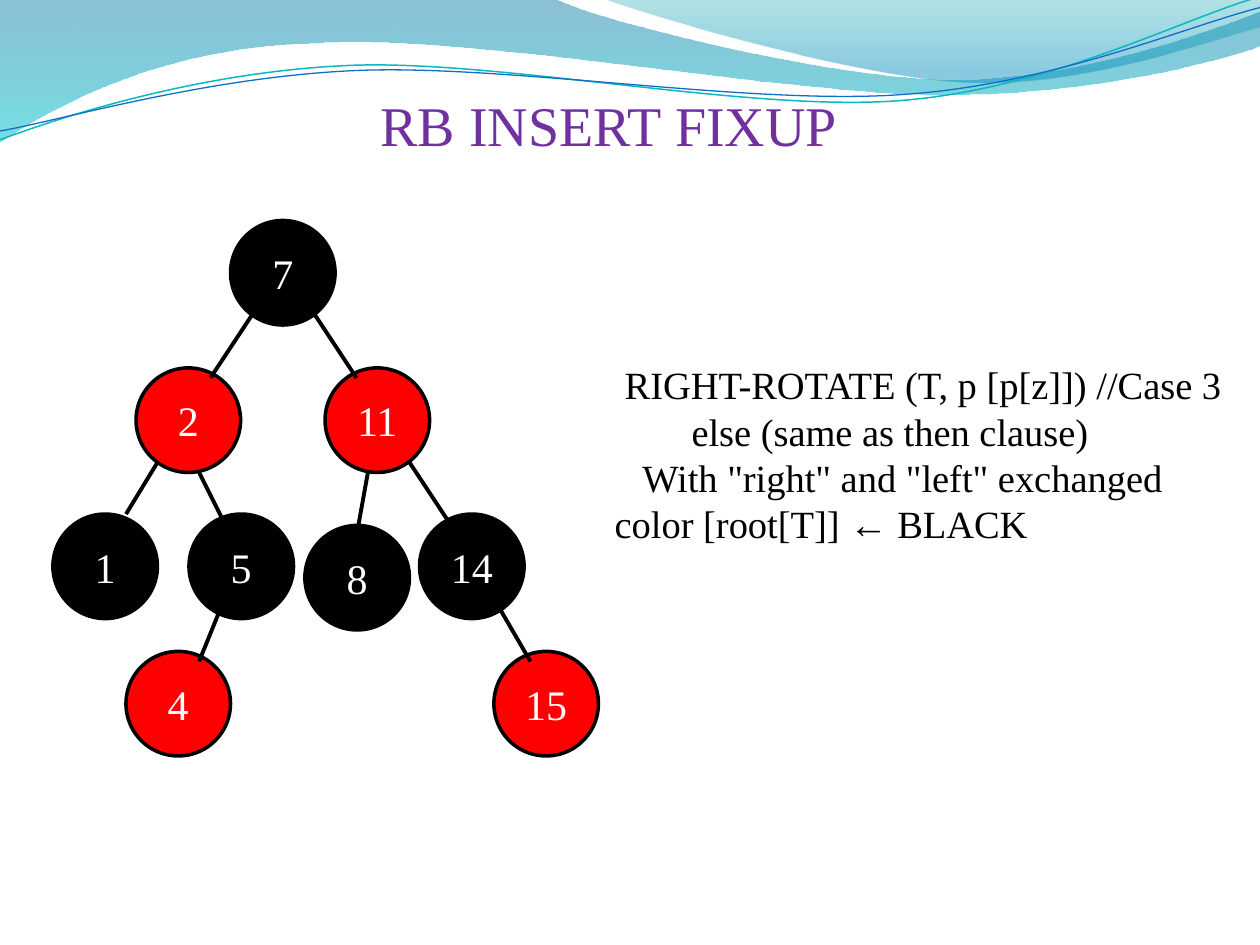
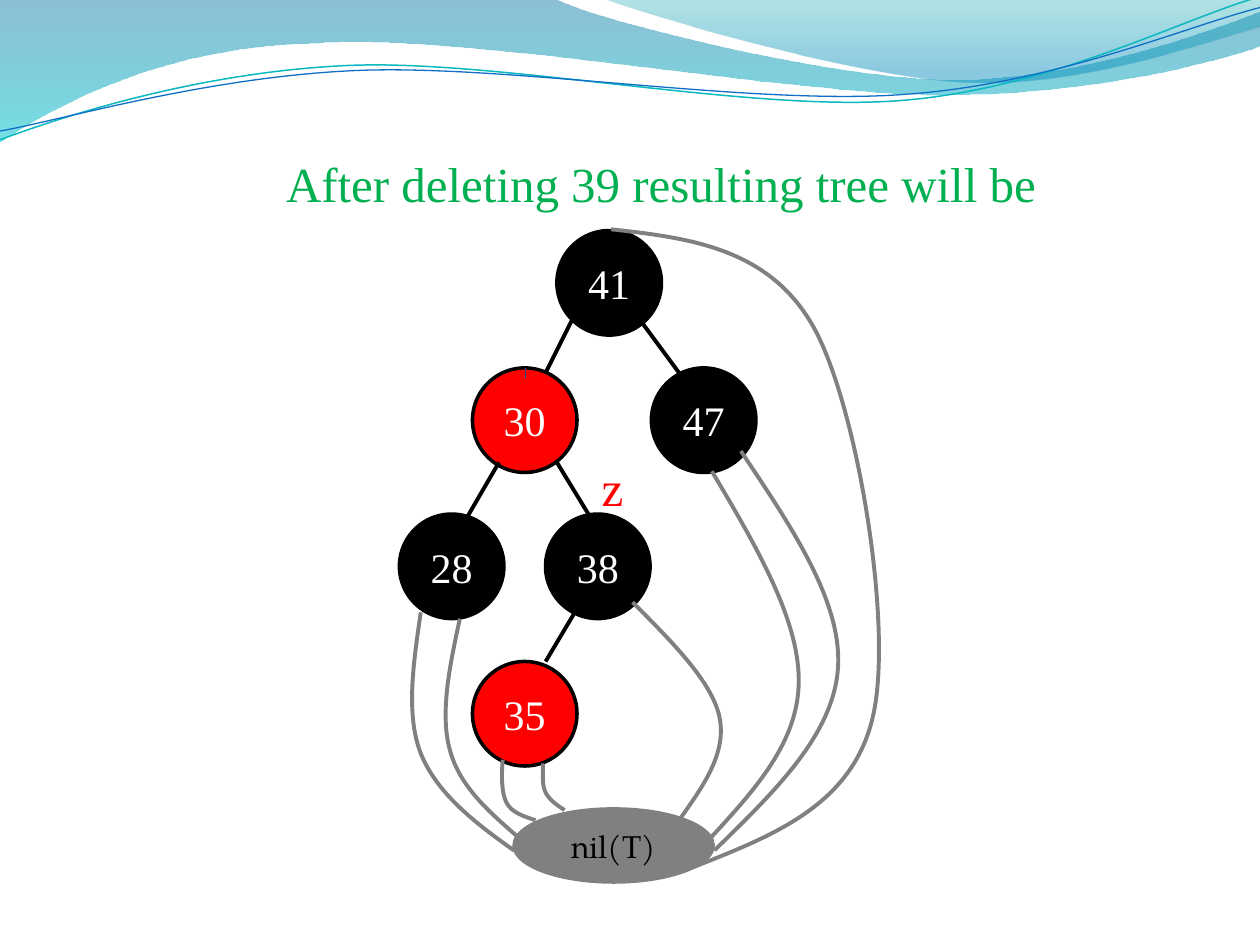
from pptx import Presentation
from pptx.dml.color import RGBColor
from pptx.enum.shapes import MSO_CONNECTOR as Link, MSO_SHAPE as Shape
from pptx.enum.text import MSO_ANCHOR as Anchor, MSO_AUTO_SIZE as Auto, PP_ALIGN as Align
from pptx.oxml.ns import qn
from pptx.oxml.xmlchemy import OxmlElement as Element
from pptx.util import Inches, Pt

SERIF = "Times New Roman"
BLACK, WHITE, RED, GREY = "000000", "FFFFFF", "FF0000", "808080"
PURPLE, GREEN, BLUE = "7030A0", "00B050", "095295"
SIZE = 0.83

# Each outline is a start point, then segments: 2 numbers a line, 6 a curve.
# Bands add gradient stops: position, colour and opacity in percent.
BANDS = [
    ((0, 0), [(4.4, -0.01), (4.76, 0.17, 6.64, 0.63, 7.58, 0.63),
              (8.53, 0.63, 9.58, 0.26, 10, 0.09), (10.01, 0.36),
              (9.83, 0.44, 8.7, 0.76, 7.46, 0.75),
              (6.22, 0.75, 3.82, 0.28, 2.57, 0.34),
              (1.29, 0.36, 0.46, 0.83, -0.01, 1.13)],
     [(0, "0074A1", 45), (1, "00C6CF", 55)]),
    ((4.79, -0.01), [(5.09, 0.11, 6.82, 0.62, 7.69, 0.65),
                     (8.56, 0.69, 9.61, 0.32, 10, 0.21), (10, 0)],
     [(0, "00A1A9", 30), (0.8, "008BBF", 45)]),
]
WAVES = [
    ((0, 1.11), [(0.48, 0.93, 1.58, 0.57, 2.77, 0.52),
                 (3.95, 0.47, 5.93, 0.89, 7.13, 0.8),
                 (8.33, 0.71, 9.38, 0.15, 9.98, -0.02)], "0AB8BF", 0.85),
    ((0, 1.04), [(0.47, 0.96, 1.64, 0.61, 2.83, 0.56),
                 (4.03, 0.51, 5.97, 0.84, 7.17, 0.75),
                 (8.36, 0.67, 9.41, 0.21, 10, 0.06)], "0F6FC6", 0.75),
]

# Nodes: key, left, top, fill.  Edges: x1, y1, x2, y2.
FIXUP_NODES = [
    ("7", 1.83, 1.75, BLACK), ("2", 1.08, 2.92, RED), ("11", 2.58, 2.92, RED),
    ("1", 0.42, 4.08, BLACK), ("5", 1.5, 4.08, BLACK), ("8", 2.42, 4.17, BLACK),
    ("14", 3.33, 4.08, BLACK), ("4", 1, 5.17, RED), ("15", 3.92, 5.17, RED),
]
FIXUP_EDGES = [
    (2.5, 2.5, 2.83, 3), (2, 2.5, 1.67, 3), (3.25, 3.67, 3.58, 4.17),
    (1.25, 3.67, 1, 4.08), (3.92, 4.75, 4.21, 5.25), (2.92, 3.75, 2.83, 4.25),
    (1.75, 4.83, 1.58, 5.25), (1.58, 3.75, 1.83, 4.25),
]
FIXUP_CODE = [  # text, indent
    ("RIGHT-ROTATE (T, p [p[z]]) //Case 3", 0.08),
    ("else (same as then clause)", 0.61),
    ('With "right" and "left" exchanged', 0.22),
    ("color [root[T]] ← BLACK", 0),
]
DELETE_NODES = [
    ("41", 4.42, 1.83, BLACK), ("30", 3.75, 2.92, RED), ("47", 5.17, 2.92, BLACK),
    ("28", 3.17, 4.08, BLACK), ("38", 4.33, 4.08, BLACK), ("35", 3.75, 5.25, RED),
]
DELETE_EDGES = [
    (5.08, 2.54, 5.42, 3), (4.54, 2.54, 4.33, 2.96), (4.42, 3.67, 4.67, 4.08),
    (3.96, 3.67, 3.67, 4.17), (4.58, 4.83, 4.33, 5.25),
]
NIL_LINKS = [
    ((4.31, 6.06), [(4.31, 6.15, 4.3, 6.23, 4.33, 6.29),
                    (4.36, 6.35, 4.42, 6.39, 4.48, 6.43)]),
    ((3.99, 6.03), [(3.98, 6.16, 3.98, 6.29, 4.02, 6.37),
                    (4.06, 6.45, 4.16, 6.48, 4.25, 6.51)]),
    ((3.65, 4.91), [(3.57, 5.28, 3.49, 5.66, 3.57, 5.95),
                    (3.65, 6.25, 3.89, 6.45, 4.13, 6.66)]),
    ((3.34, 4.86), [(3.28, 5.27, 3.22, 5.67, 3.34, 5.98),
                    (3.47, 6.3, 3.77, 6.53, 4.08, 6.75)]),
    ((5.65, 3.74), [(6, 4.33, 6.34, 4.91, 6.34, 5.4),
                    (6.34, 5.89, 5.99, 6.27, 5.63, 6.66)]),
    ((5.88, 3.58), [(6.28, 4.18, 6.69, 4.78, 6.65, 5.31),
                    (6.61, 5.84, 6.14, 6.29, 5.67, 6.75)]),
    ((4.85, 1.82), [(5.48, 1.89, 6.12, 1.97, 6.47, 2.62),
                    (6.81, 3.26, 7.09, 4.97, 6.93, 5.68),
                    (6.77, 6.39, 6.14, 6.63, 5.51, 6.88)]),
    ((5.02, 4.78), [(5.33, 5.09, 5.65, 5.41, 5.71, 5.69),
                    (5.77, 5.98, 5.58, 6.24, 5.39, 6.51)]),
]


def color(text):
    return RGBColor.from_string(text)


def stroke(item, tint, width):
    item.line.color.rgb = color(tint)
    item.line.width = Pt(width)


def write(part, text, size, tint, name=SERIF, align=Align.LEFT):
    """Put one formatted run into a paragraph."""
    part.alignment = align
    run = part.add_run()
    run.text = text
    for key, value in {"size": Pt(size), "name": name, "bold": False}.items():
        setattr(run.font, key, value)
    run.font.color.rgb = color(tint)


def outline(slide, start, parts, close=False):
    """Draw a freeform whose six-number segments become Bezier curves."""
    points = [seg[i:i + 2] for seg in parts for i in range(0, len(seg), 2)]
    draft = slide.shapes.build_freeform(*map(Inches, start))
    draft.add_line_segments([tuple(map(Inches, p)) for p in points], close=close)
    shape = draft.convert_to_shape()
    shape.shadow.inherit = False
    steps = iter(list(shape.element.iter(qn("a:lnTo"))))
    for seg in parts:
        curve = next(steps)
        if len(seg) == 6:
            curve.tag = qn("a:cubicBezTo")
            for step in (next(steps), next(steps)):
                curve.append(step[0])
                step.getparent().remove(step)
    return shape


def curve(slide, start, parts, tint, width):
    shape = outline(slide, start, parts)
    shape.fill.background()
    stroke(shape, tint, width)
    return shape


def band(slide, start, parts, stops):
    shape = outline(slide, start, parts, close=True)
    shape.line.fill.background()
    shape.fill.gradient()
    shape.fill.gradient_angle = 270
    for stop, (place, tint, _) in zip(shape.fill.gradient_stops, stops):
        stop.position = place
        stop.color.rgb = color(tint)
    for node, (_, _, part) in zip(shape.element.iter(qn("a:srgbClr")), stops):
        alpha = Element("a:alpha")
        alpha.set("val", str(part * 1000))
        node.append(alpha)
    return shape


def dress(slide, layout):
    """Draw the waves and move them to the layout, behind its text."""
    art = [band(slide, *data) for data in BANDS]
    art += [curve(slide, *data) for data in WAVES]
    for i, shape in enumerate(art):
        shape.element.nvSpPr.cNvPr.set("id", str(20 + i))
        layout.shapes.element.insert(2 + i, shape.element)


def title(slide, text, box, size, tint):
    head = slide.shapes.title
    head.left, head.top, head.width, head.height = map(Inches, box)
    frame = head.text_frame
    frame.auto_size = Auto.NONE
    frame.vertical_anchor = Anchor.TOP
    write(frame.paragraphs[0], text, size, tint)


def oval(slide, text, box, fill, edge, size, tint, name=SERIF):
    shape = slide.shapes.add_shape(Shape.OVAL, *map(Inches, box))
    shape.shadow.inherit = False
    shape.fill.solid()
    shape.fill.fore_color.rgb = color(fill)
    stroke(shape, edge, 2)
    frame = shape.text_frame
    frame.vertical_anchor = Anchor.MIDDLE
    frame.margin_left = frame.margin_right = 0
    write(frame.paragraphs[0], text, size, tint, name, Align.CENTER)


def line(slide, ends, tint=BLACK, width=2.25):
    link = slide.shapes.add_connector(Link.STRAIGHT, *map(Inches, ends))
    stroke(link, tint, width)
    link.element.spPr.append(Element("a:effectLst"))


def tree(slide, nodes, edges):
    for key, left, top, fill in nodes:
        oval(slide, key, (left, top, SIZE, SIZE), fill, BLACK, 24, WHITE)
    for ends in edges:
        line(slide, ends)


def note(slide, rows, box, size, tint, align=Align.LEFT):
    """Add a text box of (text, indent) rows."""
    frame = slide.shapes.add_textbox(*map(Inches, box)).text_frame
    frame.word_wrap = True
    for i, (text, indent) in enumerate(rows):
        part = frame.add_paragraph() if i else frame.paragraphs[0]
        write(part, text, size, tint, align=align)
        part._p.get_or_add_pPr().set("marL", str(Inches(indent)))


def main():
    deck = Presentation()
    deck.slide_width, deck.slide_height = Inches(10), Inches(7.5)
    layout = deck.slide_layouts.get_by_name("Title Only")

    fixup = deck.slides.add_slide(layout)
    dress(fixup, layout)
    title(fixup, "RB INSERT FIXUP", (2.92, 0.67, 3.86, 0.64), 32, PURPLE)
    tree(fixup, FIXUP_NODES, FIXUP_EDGES)
    note(fixup, FIXUP_CODE, (4.78, 2.82, 5.12, 1.6), 22, BLACK)

    delete = deck.slides.add_slide(layout)
    title(delete, "After deleting 39 resulting tree will be",
          (2.17, 1.17, 6.21, 0.57), 28, GREEN)
    tree(delete, DELETE_NODES, DELETE_EDGES)
    line(delete, (4.17, 2.92, 4.17, 3), BLUE, 0.75)
    oval(delete, "nil(T)", (4.08, 6.42, 1.58, 0.58), GREY, GREY, 18, BLACK,
         "TeX Gyre Pagella")
    for start, parts in NIL_LINKS:
        curve(delete, start, parts, GREY, 2.25)
    note(delete, [("z", 0)], (4.67, 3.58, 0.38, 0.57), 28, RED, Align.CENTER)

    deck.save("out.pptx")


if __name__ == "__main__":
    main()
